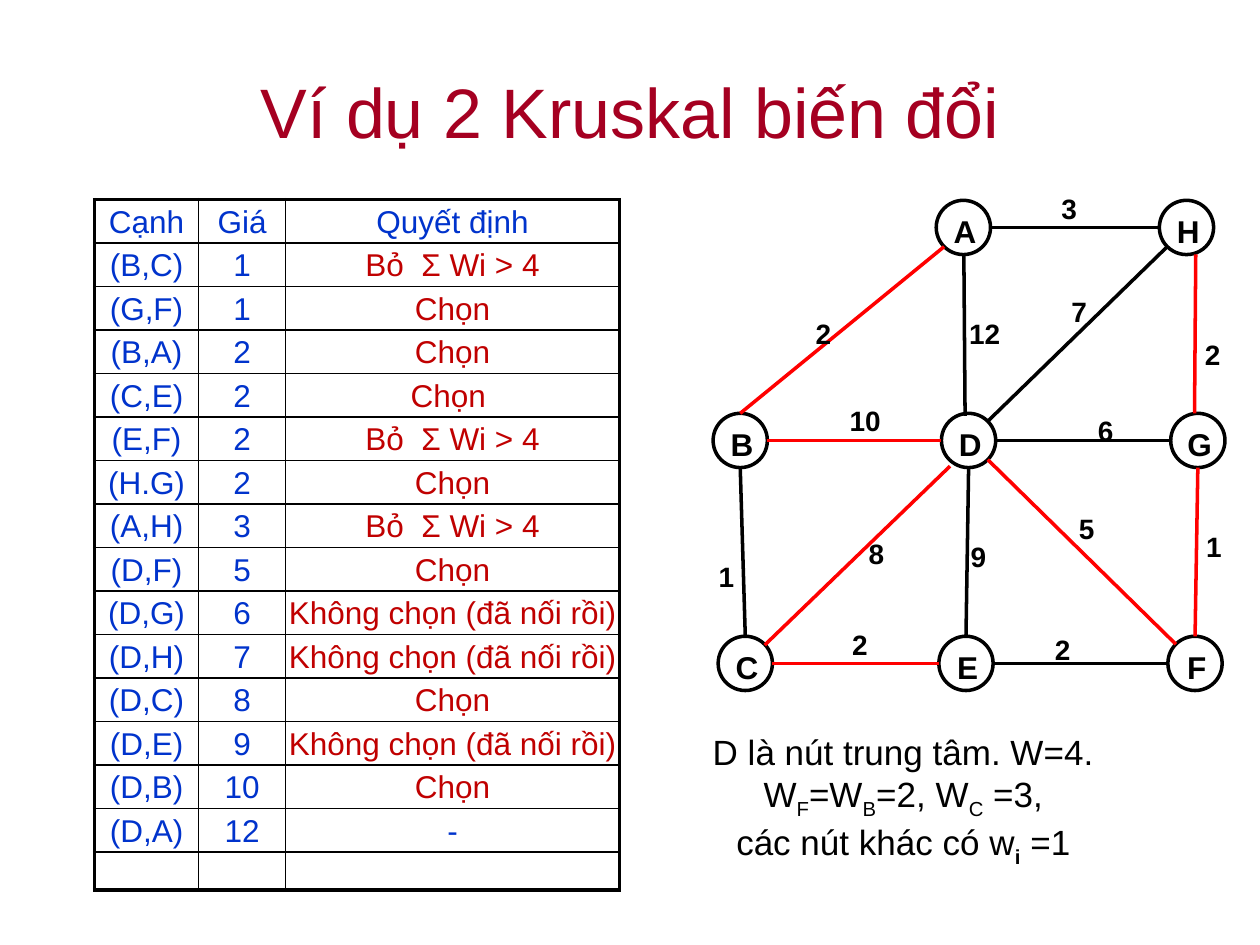
from math import cos, radians, sin
from pptx import Presentation
from pptx.dml.color import RGBColor
from pptx.enum.shapes import MSO_CONNECTOR, MSO_SHAPE
from pptx.enum.text import MSO_ANCHOR, PP_ALIGN
from pptx.oxml import parse_xml
from pptx.oxml.ns import nsdecls
from pptx.util import Pt
from lxml import etree

BLACK = RGBColor(0, 0, 0)
RED = RGBColor(0xFF, 0, 0)
CRIMSON = RGBColor(0xA5, 0x00, 0x21)
BLUE = RGBColor(0x00, 0x33, 0xCC)
DARK_RED = RGBColor(0xC0, 0, 0)


def add_text(p, text, size=18, color=BLACK, bold=False, baseline=0):
    p.alignment = PP_ALIGN.CENTER
    r = p.add_run()
    r.text = text
    r.font.name = "Arial"
    r.font.size = Pt(size)
    r.font.bold = bold
    r.font.color.rgb = color
    if baseline:
        r._r.get_or_add_rPr().set("baseline", str(baseline))


prs = Presentation()
prs.slide_width, prs.slide_height = Pt(720), Pt(540)
s = prs.slides.add_slide(prs.slide_layouts[6])

tf = s.shapes.add_textbox(Pt(54), Pt(18), Pt(612), Pt(90)).text_frame
tf.word_wrap = True
tf.vertical_anchor = MSO_ANCHOR.MIDDLE
add_text(tf.paragraphs[0], "Ví dụ 2 Kruskal biến đổi", size=40, color=CRIMSON)

SKIP = "Bỏ  Σ Wi > 4"
PICK = "Chọn"
JOINED = "Không chọn (đã nối rồi)"
rows = [
    ("Cạnh", "Giá", "Quyết định"),
    ("(B,C)", "1", SKIP),
    ("(G,F)", "1", PICK),
    ("(B,A)", "2", PICK),
    ("(C,E)", "2", PICK + " "),
    ("(E,F)", "2", SKIP),
    ("(H.G)", "2", PICK),
    ("(A,H)", "3", SKIP),
    ("(D,F)", "5", PICK),
    ("(D,G)", "6", JOINED),
    ("(D,H)", "7", JOINED),
    ("(D,C)", "8", PICK),
    ("(D,E)", "9", JOINED),
    ("(D,B)", "10", PICK),
    ("(D,A)", "12", "-"),
    ("", "", ""),
]
last = len(rows) - 1
table = s.shapes.add_table(len(rows), 3, Pt(54), Pt(114), Pt(300), Pt(394.5)).table
table.first_row = table.horz_banding = False
for col, width in zip(table.columns, (59.5, 49.7, 190.8)):
    col.width = Pt(width)
for i, row in enumerate(rows):
    table.rows[i].height = Pt(21.7 if i == last else 24.85)
    for j, text in enumerate(row):
        cell = table.cell(i, j)
        cell.margin_left = cell.margin_right = cell.margin_top = cell.margin_bottom = 0
        cell.fill.background()
        if text:
            p = cell.text_frame.paragraphs[0]
            p.line_spacing = 1.15
            decided = j == 2 and 0 < i < last - 1
            add_text(p, text, color=DARK_RED if decided else BLUE)
        edges = (("lnL", j == 0), ("lnR", j == 2), ("lnT", i == 0), ("lnB", i == last))
        for k, (tag, outer) in enumerate(edges):
            cell._tc.get_or_add_tcPr().insert(k, parse_xml(
                f'<a:{tag} {nsdecls("a")} w="{Pt(2.25 if outer else 1)}">'
                f'<a:solidFill><a:srgbClr val="{BLACK}"/></a:solidFill></a:{tag}>'))

DIAMETER = 31
RADIUS = DIAMETER / 2
nodes = {
    "A": (535, 114.5), "H": (662.5, 114.5),
    "B": (407.5, 236.2), "D": (538, 236.2), "G": (669, 236.2),
    "C": (410.4, 363.6), "E": (536.5, 363.6), "F": (667.4, 363.6),
}
for name, (x, y) in nodes.items():
    sp = s.shapes.add_shape(MSO_SHAPE.OVAL, Pt(x), Pt(y), Pt(DIAMETER), Pt(DIAMETER))
    sp.shadow.inherit = False
    sp.fill.background()
    sp.line.color.rgb = BLACK
    sp.line.width = Pt(2)
    tf = sp.text_frame
    tf.word_wrap = False
    tf.vertical_anchor = MSO_ANCHOR.MIDDLE
    tf.margin_left, tf.margin_right, tf.margin_top, tf.margin_bottom = Pt(2), 0, Pt(4), 0
    add_text(tf.paragraphs[0], name, bold=True)

RIGHT, BOTTOM_RIGHT, BOTTOM, BOTTOM_LEFT, LEFT, TOP_LEFT, TOP, TOP_RIGHT = range(0, 360, 45)
links = [
    ("A", RIGHT, "H", LEFT, BLACK, "3", 599, 105.8),
    ("B", TOP, "A", BOTTOM_LEFT, RED, "2", 458.6, 177.1),
    ("A", BOTTOM, "D", TOP, BLACK, "12", 546.5, 177.1),
    ("D", TOP_RIGHT, "H", BOTTOM_LEFT, BLACK, "7", 604.8, 164.9),
    ("H", BOTTOM, "G", TOP, RED, "2", 681.1, 189.4),
    ("B", RIGHT, "D", LEFT, RED, "10", 478.1, 226.8),
    ("D", RIGHT, "G", LEFT, BLACK, "6", 619.9, 232.6),
    ("B", BOTTOM, "C", TOP, BLACK, "1", 403.2, 316.1),
    ("C", TOP_RIGHT, "D", BOTTOM_LEFT, RED, "8", 488.9, 303.1),
    ("D", BOTTOM, "E", TOP, BLACK, "9", 547.2, 304.6),
    ("F", TOP_LEFT, "D", BOTTOM_RIGHT, RED, "5", 609.1, 288.7),
    ("G", BOTTOM, "F", TOP, RED, "1", 681.8, 298.8),
    ("C", RIGHT, "E", LEFT, RED, "2", 479.5, 355),
    ("E", RIGHT, "F", LEFT, BLACK, "2", 595.4, 357.8),
]
loose = {
    "AD": (550.8, 145.4, 551.5, 237.6),
    "HG": (683.3, 145.4, 682.6, 236.2),
    "CD": (437, 368.6, 542.9, 266.4),
}
for a, a_side, b, b_side, color, weight, x, y in links:
    ends = []
    for name, side in ((a, a_side), (b, b_side)):
        left, top = nodes[name]
        ends.append(left + RADIUS + RADIUS * cos(radians(side)))
        ends.append(top + RADIUS + RADIUS * sin(radians(side)))
    ends = loose.get(a + b, ends)
    line = s.shapes.add_connector(MSO_CONNECTOR.STRAIGHT, *map(Pt, ends))
    line.line.color.rgb = color
    line.line.width = Pt(2)
    etree.SubElement(line._element.spPr, "{http://schemas.openxmlformats.org/drawingml/2006/main}effectLst")
    width = 32.4 if len(weight) > 1 else 23.8
    tf = s.shapes.add_textbox(Pt(x), Pt(y), Pt(width), Pt(26.6)).text_frame
    tf.word_wrap = False
    add_text(tf.paragraphs[0], weight, size=16, bold=True)

notes = [
    [("D là nút trung tâm. W=4.", "")],
    [("W", "F"), ("=W", "B"), ("=2, W", "C"), (" =3,", "")],
    [("các nút khác có w", "i"), (" =1", "")],
]
tf = s.shapes.add_textbox(Pt(336.2), Pt(414), Pt(360), Pt(80)).text_frame
tf.word_wrap = True
for i, parts in enumerate(notes):
    p = tf.add_paragraph() if i else tf.paragraphs[0]
    for text, sub in parts:
        add_text(p, text, size=20)
        if sub:
            add_text(p, sub, size=20, bold=sub == "i", baseline=-25000)

prs.save("out.pptx")
